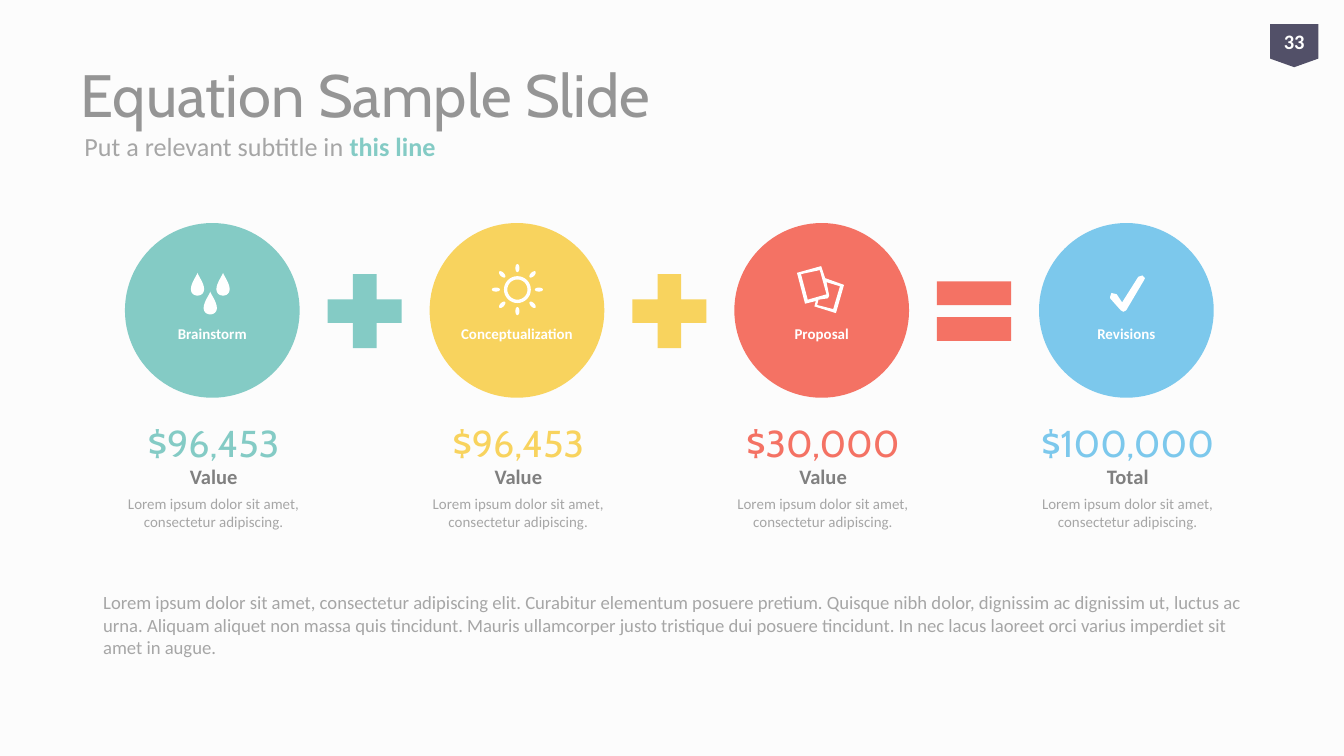
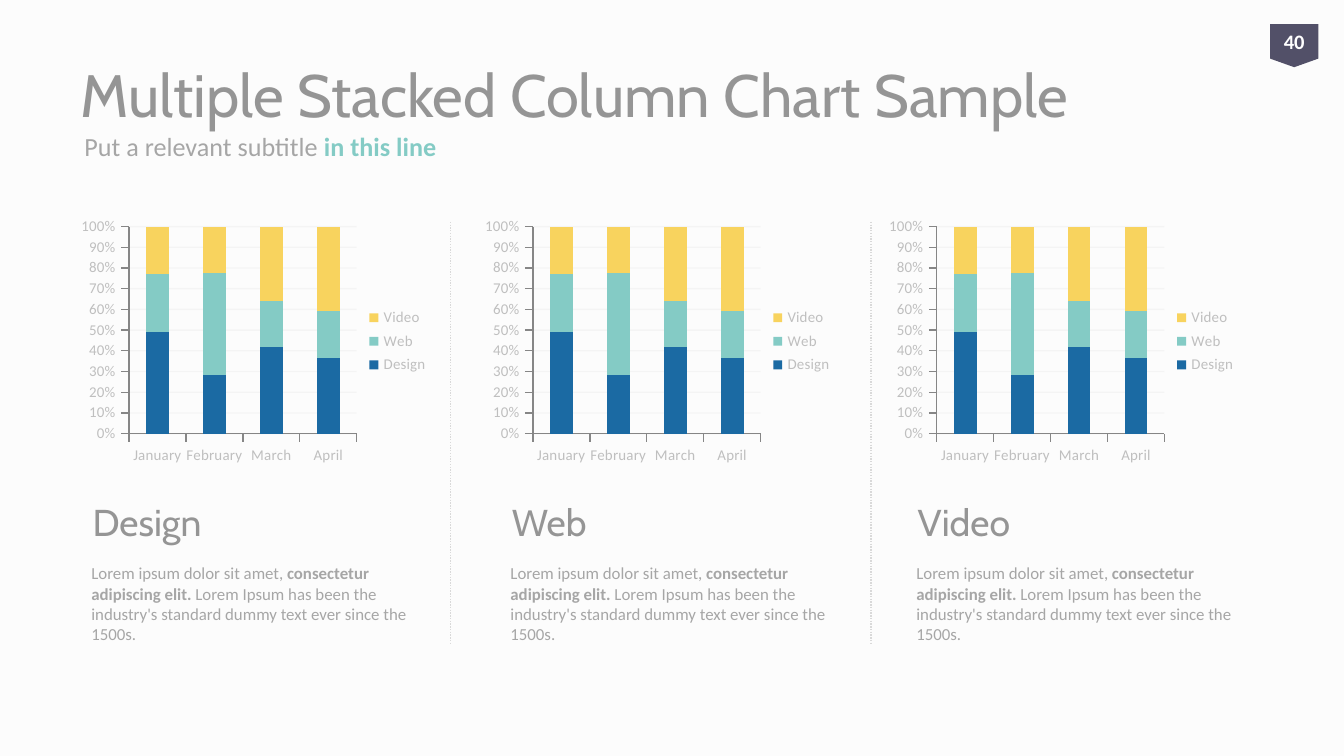
from dataclasses import dataclass
from math import cos, pi, sin
from typing import NamedTuple

from lxml.etree import SubElement
from pptx import Presentation
from pptx.chart.data import CategoryChartData
from pptx.dml.color import RGBColor
from pptx.enum.chart import XL_CHART_TYPE, XL_LEGEND_POSITION, XL_TICK_MARK
from pptx.enum.dml import MSO_LINE
from pptx.enum.shapes import MSO_CONNECTOR, MSO_SHAPE
from pptx.enum.text import MSO_ANCHOR, MSO_AUTO_SIZE, PP_ALIGN
from pptx.oxml.ns import qn
from pptx.util import Inches, Pt

COLS, ROWS = 100, 56.25
CELL = Inches(0.1)


@dataclass(frozen=True)
class Theme:
    back: str = "FCFCFC"
    title: str = "959595"
    text: str = "A6A6A6"
    strong: str = "808080"
    label: str = "BFBFBF"
    rule: str = "D9D9D9"
    axis: str = "868686"
    badge: str = "525068"
    white: str = "FFFFFF"
    teal: str = "84CBC5"
    yellow: str = "F8D35E"
    red: str = "F47264"
    sky: str = "7CC8EC"
    blue: str = "1B6AA3"
    head_font: str = "Cabin"
    body_font: str = "Calibri"
    title_pt: float = 32
    heading_pt: float = 20
    subtitle_pt: float = 14
    value_pt: float = 11
    body_pt: float = 10
    panel_pt: float = 9
    small_pt: float = 8


T = Theme()


class Box(NamedTuple):
    col: float
    row: float
    cols: float
    rows: float

    def emu(self) -> list[int]:
        return [grid(v) for v in self]


class Style(NamedTuple):
    size: float
    color: str
    font: str = T.body_font
    bold: bool = False
    align: PP_ALIGN = PP_ALIGN.LEFT
    anchor: MSO_ANCHOR = MSO_ANCHOR.TOP
    before: float = 0


class Part(NamedTuple):
    text: str
    bold: bool = False
    color: str | None = None


class Header(NamedTuple):
    title: str
    lead: str
    accent: str
    number: int
    title_cols: float
    subtitle_cols: float


Point = tuple[float, float]
Contour = list[Point]


class Term(NamedTuple):
    name: str
    amount: str
    caption: str
    color: str
    icon: list[Contour]
    operator: MSO_SHAPE | None


class Panel(NamedTuple):
    name: str
    text_col: float


TITLE = Style(T.title_pt, T.title, T.head_font, anchor=MSO_ANCHOR.MIDDLE)
SUBTITLE = Style(T.subtitle_pt, T.text, anchor=MSO_ANCHOR.MIDDLE)
BADGE = Style(T.value_pt, T.white, bold=True, align=PP_ALIGN.CENTER, anchor=MSO_ANCHOR.MIDDLE)
LABEL = BADGE._replace(size=T.small_pt)
AMOUNT = Style(T.heading_pt, T.teal, T.head_font, align=PP_ALIGN.CENTER, before=0.2)
CAPTION = Style(T.value_pt, T.strong, bold=True, align=PP_ALIGN.CENTER, before=0.2)
NOTE = Style(T.small_pt, T.text, align=PP_ALIGN.CENTER, before=0.2)
BODY = Style(T.body_pt, T.text, before=0.2)
HEADING = TITLE._replace(size=T.heading_pt)
PANEL_TEXT = BODY._replace(size=T.panel_pt)


def grid(value: float) -> int:
    return round(value * CELL)


def rgb(color: str) -> RGBColor:
    return RGBColor.from_string(color)


def write(sp, parts: list[Part], style: Style, inset: bool = True) -> None:
    tf = sp.text_frame
    tf.word_wrap = True
    tf.auto_size = MSO_AUTO_SIZE.NONE
    tf.vertical_anchor = style.anchor
    if not inset:
        tf.margin_left = tf.margin_right = tf.margin_top = tf.margin_bottom = 0
    p = tf.paragraphs[0]
    p.alignment = style.align
    p.space_before = Pt(style.before * style.size)
    for part in parts:
        r = p.add_run()
        r.text = part.text
        r.font.name = style.font
        r.font.size = Pt(style.size)
        r.font.bold = part.bold or style.bold
        r.font.color.rgb = rgb(part.color or style.color)


def add_text(s, box: Box, parts: list[Part], style: Style, inset: bool = True) -> None:
    write(s.shapes.add_textbox(*box.emu()), parts, style, inset)


def fill_placeholder(sp, box: Box, parts: list[Part], style: Style) -> None:
    sp.left, sp.top, sp.width, sp.height = box.emu()
    write(sp, parts, style)
    pPr = sp.text_frame.paragraphs[0]._p.get_or_add_pPr()
    pPr.set("marL", "0")
    pPr.set("indent", "0")
    SubElement(pPr, qn("a:buNone"))


def paint(sp, color: str) -> None:
    sp.shadow.inherit = False
    sp.fill.solid()
    sp.fill.fore_color.rgb = rgb(color)
    sp.line.fill.background()


def add_figure(s, kind: MSO_SHAPE, box: Box, color: str):
    sp = s.shapes.add_shape(kind, *box.emu())
    paint(sp, color)
    return sp


def add_icon(s, contours: list[Contour]) -> None:
    outlines = [[(grid(x), grid(y)) for x, y in c] for c in contours]
    builder = s.shapes.build_freeform(*outlines[0][0])
    for outline in outlines:
        builder.move_to(*outline[0])
        builder.add_line_segments(outline[1:], close=True)
    paint(builder.convert_to_shape(), T.white)


def oval(x: float, y: float, a: float, b: float, turn: float = 0) -> Contour:
    angles = [2 * pi * i / 32 for i in range(32)]
    return [(x + a * cos(t) * cos(turn) - b * sin(t) * sin(turn),
             y + a * cos(t) * sin(turn) + b * sin(t) * cos(turn)) for t in angles]


def drop(x: float, y: float) -> Contour:
    angles = [2 * pi * i / 32 for i in range(32)]
    return [(x + 0.7 * sin(t) * sin(t / 2) ** 1.5, y + 0.85 * (1 - cos(t))) for t in angles]


def sun(x: float, y: float) -> list[Contour]:
    turns = [i * pi / 4 for i in range(8)]
    rays = [oval(x + 1.6 * cos(t), y + 1.6 * sin(t), 0.3, 0.15, t) for t in turns]
    return [oval(x, y, 1, 1), oval(x, y, 0.75, 0.75), *rays]


DROPS = [drop(14.7, 20.3), drop(16.6, 20.3), drop(15.65, 21.7)]
PAGES = [
    [(59.3, 20.3), (61.1, 19.8), (61.4, 20.7), (62.8, 21.2),
     (62.2, 23.3), (60.6, 22.8), (60.7, 22.4), (59.9, 22.6)],
    [(59.6, 20.4), (61, 20.1), (61.5, 21.9), (60.1, 22.3)],
    [(62, 23), (60.8, 22.7), (60.9, 22.3), (61.6, 22.2), (61.7, 22), (61.5, 21), (62.5, 21.3)],
]
CHECK = [[(82.6, 22.1), (82.7, 21.8), (83.1, 21.9), (83.5, 22.5), (84.7, 20.6), (85, 20.5),
          (85.2, 20.7), (85.1, 20.9), (83.8, 23.1), (83.6, 23.2), (83.4, 23.1), (82.6, 22.2)]]

TERMS = [
    Term("Brainstorm", "$96,453", "Value", T.teal, DROPS, MSO_SHAPE.MATH_PLUS),
    Term("Conceptualization", "$96,453", "Value", T.yellow, sun(38.5, 21.55), MSO_SHAPE.MATH_PLUS),
    Term("Proposal", "$30,000", "Value", T.red, PAGES, MSO_SHAPE.MATH_EQUAL),
    Term("Revisions", "$100,000", "Total", T.sky, CHECK, None),
]
TERM_NOTE = "Lorem ipsum dolor sit amet, consectetur adipiscing."
SUMMARY = (
    "Lorem ipsum dolor sit amet, consectetur adipiscing elit. Curabitur elementum posuere pretium. "
    "Quisque nibh dolor, dignissim ac dignissim ut, luctus ac urna. Aliquam aliquet non massa quis "
    "tincidunt. Mauris ullamcorper justo tristique dui posuere tincidunt. In nec lacus laoreet orci "
    "varius imperdiet sit amet in augue."
)
PANELS = [Panel("Design", 5.8), Panel("Web", 37), Panel("Video", 67.2)]
PANEL_PARTS = [
    Part("Lorem ipsum dolor sit amet, "),
    Part("consectetur adipiscing elit. ", True),
    Part("Lorem Ipsum has been the industry's standard dummy text ever since the 1500s."),
]
MONTHS = ["January", "February", "March", "April"]
SERIES = {
    "Design": ([49, 28, 42, 37], T.blue),
    "Web": ([28, 49, 22, 23], T.teal),
    "Video": ([23, 22, 36, 41], T.yellow),
}


def start_slide(prs, layout: int, header: Header):
    s = prs.slides.add_slide(prs.slide_layouts[layout])
    fill_placeholder(s.shapes.title, Box(5, 2.3, header.title_cols, 9.4), [Part(header.title)], TITLE)
    add_text(s, Box(5.3, 8.9, header.subtitle_cols, 4),
             [Part(header.lead), Part(header.accent, True, T.teal)], SUBTITLE)
    badge = add_figure(s, MSO_SHAPE.FLOWCHART_OFFPAGE_CONNECTOR, Box(94.5, 1.8, 3.6, 3.2), T.badge)
    write(badge, [Part(str(header.number))], BADGE, inset=False)
    return s


def add_term(s, term: Term, mid: float, pitch: float) -> None:
    add_figure(s, MSO_SHAPE.OVAL, Box(mid - 6.5, 16.6, 13, 13), term.color)
    add_text(s, Box(mid - 4.6, 23.8, 9.2, 2), [Part(term.name)], LABEL, inset=False)
    if term.operator is not None:
        add_figure(s, term.operator, Box(mid + pitch / 2 - 3.75, 19.4, 7.5, 7.5), term.color)
    add_icon(s, term.icon)
    add_text(s, Box(mid - 7.4, 36.3, 15, 6), [Part(TERM_NOTE)], NOTE)
    add_text(s, Box(mid - 7.4, 30.8, 15, 5), [Part(term.amount, color=term.color)], AMOUNT)
    add_text(s, Box(mid - 8, 34, 16.2, 3.6), [Part(term.caption)], CAPTION)


def add_divider(s, col: float) -> None:
    line = s.shapes.add_connector(MSO_CONNECTOR.STRAIGHT, grid(col), grid(16.5), grid(col), grid(47.9))
    line.line.color.rgb = rgb(T.rule)
    line.line.width = Pt(0.75)
    line.line.dash_style = MSO_LINE.ROUND_DOT
    SubElement(line._element.spPr, qn("a:effectLst"))


def add_stacked_chart(s, box: Box) -> None:
    data = CategoryChartData()
    data.categories = MONTHS
    for name, (values, _) in SERIES.items():
        data.add_series(name, values)
    chart = s.shapes.add_chart(XL_CHART_TYPE.COLUMN_STACKED_100, *box.emu(), data).chart
    chart.has_title = False
    chart.font.name = T.body_font
    chart.font.size = Pt(T.small_pt)
    chart.font.color.rgb = rgb(T.label)
    chart.has_legend = True
    chart.legend.position = XL_LEGEND_POSITION.RIGHT
    chart.legend.include_in_layout = False
    for axis in (chart.category_axis, chart.value_axis):
        axis.major_tick_mark = XL_TICK_MARK.OUTSIDE
        axis.minor_tick_mark = XL_TICK_MARK.NONE
        axis.format.line.color.rgb = rgb(T.axis)
        axis.format.line.width = Pt(0.75)
    axis = chart.value_axis
    axis.tick_labels.number_format = "0%"
    axis.tick_labels.number_format_is_linked = False
    axis.has_major_gridlines = True
    axis.major_gridlines.format.line.color.rgb = rgb(T.strong)
    axis.major_gridlines.format.line.width = Pt(0.75)
    for clr in chart._chartSpace.xpath(".//c:majorGridlines//a:srgbClr"):
        SubElement(clr, qn("a:alpha")).set("val", "6000")
    plot = chart.plots[0]
    plot.gap_width, plot.overlap = 150, 100
    plot.vary_by_categories = False
    for series in plot.series:
        series.format.fill.solid()
        series.format.fill.fore_color.rgb = rgb(SERIES[series.name][1])


def equation_slide(prs) -> None:
    s = start_slide(prs, 5, Header("Equation Sample Slide", "Put a relevant subtitle in ",
                                   "this line", 33, 88.3, 34.7))
    pitch = 22.67
    for i, term in enumerate(TERMS):
        add_term(s, term, 15.8 + i * pitch, pitch)
    add_text(s, Box(6.7, 43.5, 87.4, 6.7), [Part(SUMMARY)], BODY)


def charts_slide(prs) -> None:
    s = start_slide(prs, 1, Header("Multiple Stacked Column Chart Sample", "Put a relevant subtitle ",
                                   "in this line", 40, 90, 90))
    for i, panel in enumerate(PANELS):
        box = Box(panel.text_col, 41.4, 26, 8)
        if i == 0:
            fill_placeholder(s.placeholders[1], box, PANEL_PARTS, PANEL_TEXT)
        else:
            add_text(s, box, PANEL_PARTS, PANEL_TEXT)
        add_text(s, Box(panel.text_col + 0.1, 35.9, 25.2, 5.8), [Part(panel.name)], HEADING)
        add_stacked_chart(s, Box(5.5 + i * 30.05, 15.8, 27.4, 19.2))
    for col in (33.5, 64.8):
        add_divider(s, col)


def main() -> None:
    prs = Presentation()
    prs.slide_width, prs.slide_height = grid(COLS), grid(ROWS)
    back = prs.slide_master.background.fill
    back.solid()
    back.fore_color.rgb = rgb(T.back)
    equation_slide(prs)
    charts_slide(prs)
    prs.save("out.pptx")


if __name__ == "__main__":
    main()
